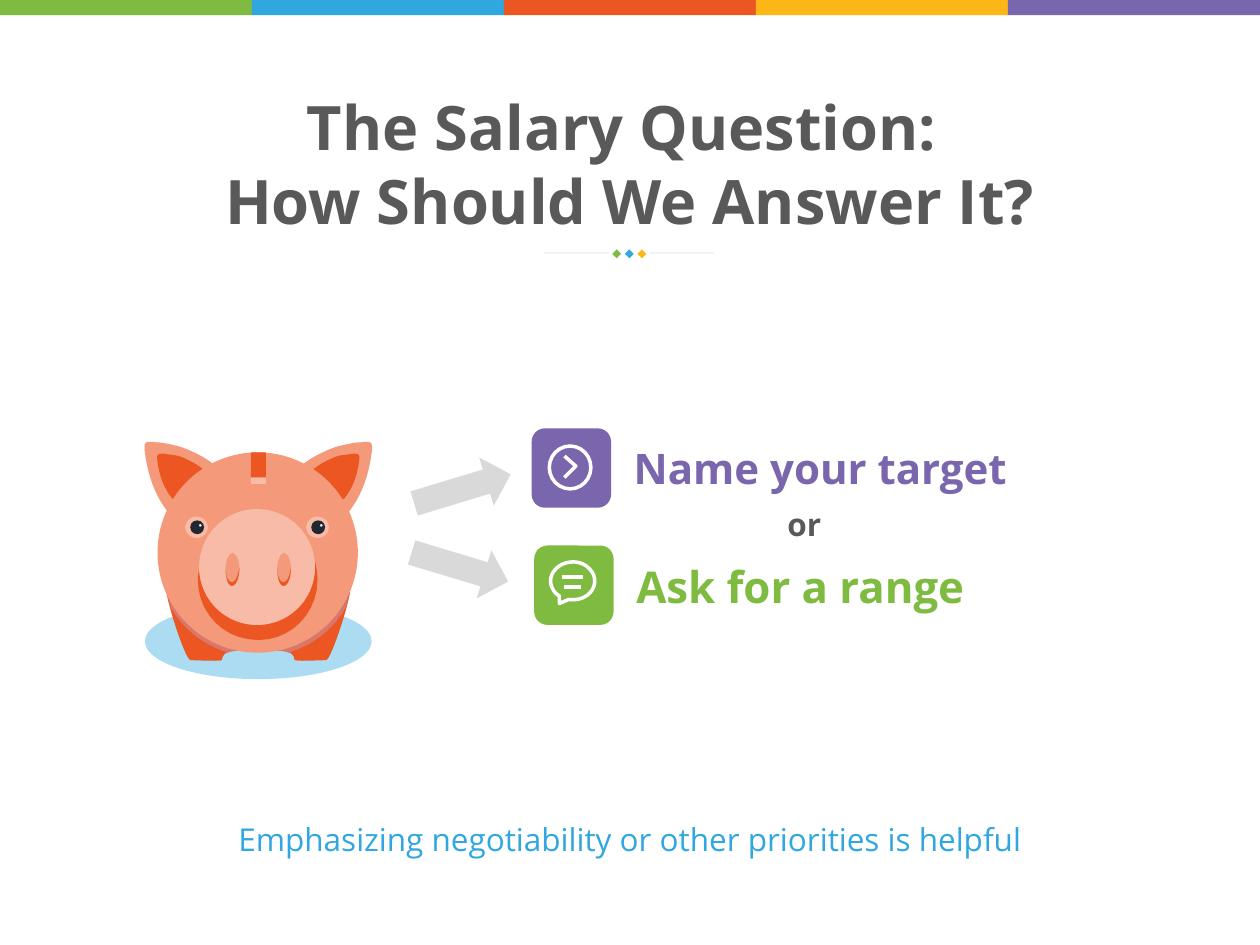
from lxml.etree import SubElement
from pptx import Presentation
from pptx.dml.color import RGBColor
from pptx.enum.shapes import MSO_CONNECTOR, MSO_SHAPE
from pptx.enum.text import MSO_AUTO_SIZE, PP_ALIGN
from pptx.oxml.ns import qn
from pptx.util import Inches, Pt

GREEN, BLUE, ORANGE, YELLOW, PURPLE = "7FBB41", "30A7DF", "EC5623", "FCB616", "7A66AD"
GRAY, PALE_GRAY, ARROW_GRAY, WHITE = "595959", "F2F2F2", "D9D9D9", "FFFFFF"
SKIN, LIGHT_SKIN, SHADE = "F49A7B", "F7BBA7", "DA776B"
PUDDLE, PUPIL, GLINT = "ACDCF2", "202731", "E5E5E5"


def color(value):
    return RGBColor.from_string(value)


def mirrored(points):
    return [(4.1 - x, y) for x, y in points]


def curve(points, steps=10):
    result = [points[0]]
    for index in range(0, len(points) - 1, 3):
        segment = points[index:index + 4]
        for step in range(1, steps + 1):
            t = step / steps
            weights = ((1 - t) ** 3, 3 * t * (1 - t) ** 2, 3 * t * t * (1 - t), t ** 3)
            result.append(tuple(sum(w * point[axis] for w, point in zip(weights, segment))
                                for axis in (0, 1)))
    return result


class SlideBuilder:
    font = "Open Sans"

    def __init__(self, slide):
        self.slide = slide
        self.shapes = slide.shapes

    def paint(self, shape, fill, line=None):
        shape.shadow.inherit = False
        if fill:
            shape.fill.solid()
            shape.fill.fore_color.rgb = color(fill)
        else:
            shape.fill.background()
        if line:
            shape.line.color.rgb = color(line)
            shape.line.width = Pt(2)
        else:
            shape.line.fill.background()

    def shape(self, kind, left, top, width, height, fill, line=None, rotation=0):
        shape = self.shapes.add_shape(kind, Inches(left), Inches(top), Inches(width), Inches(height))
        shape.rotation = rotation
        self.paint(shape, fill, line)

    def ellipse(self, left, top, width, height, fill, line=None):
        self.shape(MSO_SHAPE.OVAL, left, top, width, height, fill, line)

    def outline(self, points, fill, line=None, close=True):
        vertices = [(Inches(x), Inches(y)) for x, y in points]
        builder = self.shapes.build_freeform(*vertices[0])
        builder.add_line_segments(vertices[1:], close=close)
        self.paint(builder.convert_to_shape(), fill, line)

    def pair(self, points, fill):
        for side in (points, mirrored(points)):
            self.outline(curve(side), fill)

    def line(self, left, right, y, stroke, width):
        connector = self.shapes.add_connector(
            MSO_CONNECTOR.STRAIGHT, Inches(left), Inches(y), Inches(right), Inches(y))
        connector.line.color.rgb = color(stroke)
        connector.line.width = Pt(width)
        SubElement(connector.element.spPr, qn("a:effectLst"))

    def text(self, box, content, size, fill, bold=True, align=PP_ALIGN.LEFT,
             spacing=None, wrap=False, insets=(0.1, 0.05)):
        text_frame = self.shapes.add_textbox(*map(Inches, box)).text_frame
        text_frame.text = content
        text_frame.word_wrap = wrap
        text_frame.auto_size = MSO_AUTO_SIZE.SHAPE_TO_FIT_TEXT
        text_frame.margin_left = text_frame.margin_right = Inches(insets[0])
        text_frame.margin_top = text_frame.margin_bottom = Inches(insets[1])
        for paragraph in text_frame.paragraphs:
            paragraph.alignment = align
            if spacing:
                paragraph.line_spacing = spacing
            for run in paragraph.runs:
                run.font.name = self.font
                run.font.size = Pt(size)
                run.font.bold = bold
                run.font.color.rgb = color(fill)

    def piggy_bank(self):
        self.ellipse(1.15, 4.79, 1.8, 0.6, PUDDLE)
        leg = [(2.78, 4.68), (2.78, 4.77), (2.63, 5.23), (2.59, 5.24),
               (2.53, 5.24), (2.38, 5.25), (2.34, 5.24),
               (2.33, 5.22), (2.34, 5.22), (2.33, 5.21),
               (2.31, 5.16), (2.22, 5.17), (2.18, 5.16),
               (2.3, 5.09), (2.43, 5), (2.57, 4.89),
               (2.6, 4.87), (2.78, 4.68), (2.78, 4.68)]
        leg_shade = [(2.77, 4.7), (2.67, 4.94), (2.45, 5.12), (2.18, 5.16),
                     (2.22, 5.17), (2.25, 5.16), (2.29, 5.18),
                     (2.48, 5.12), (2.64, 5), (2.74, 4.83),
                     (2.76, 4.78), (2.77, 4.73), (2.77, 4.7)]
        outer_ear = [(2.77, 4.06), (2.88, 3.92), (2.93, 3.75), (2.95, 3.59),
                     (2.96, 3.51), (2.95, 3.5), (2.87, 3.51),
                     (2.81, 3.51), (2.74, 3.53), (2.69, 3.54),
                     (2.61, 3.56), (2.34, 3.68), (2.37, 3.76),
                     (2.39, 3.87), (2.65, 4.04), (2.75, 4.06)]
        inner_ear = [(2.73, 3.96), (2.8, 3.88), (2.84, 3.76), (2.85, 3.66),
                     (2.86, 3.61), (2.85, 3.6), (2.8, 3.6),
                     (2.76, 3.61), (2.72, 3.61), (2.68, 3.62),
                     (2.62, 3.64), (2.45, 3.72), (2.47, 3.77),
                     (2.48, 3.84), (2.66, 3.95), (2.72, 3.96)]
        for part, fill in ((leg, ORANGE), (leg_shade, SHADE), (outer_ear, SKIN), (inner_ear, ORANGE)):
            self.pair(part, fill)
        self.ellipse(1.25, 3.59, 1.59, 1.59, SKIN)
        snout_shade = [(2.5, 4.45), (2.5, 4.47), (2.5, 4.48), (2.5, 4.5),
                       (2.5, 4.76), (2.3, 4.96), (2.04, 4.96),
                       (1.79, 4.96), (1.58, 4.76), (1.58, 4.5),
                       (1.58, 4.53), (1.57, 4.56), (1.57, 4.6),
                       (1.57, 4.87), (1.78, 5.08), (2.05, 5.08),
                       (2.31, 5.08), (2.52, 4.87), (2.52, 4.6),
                       (2.52, 4.55), (2.51, 4.5), (2.5, 4.45)]
        self.outline(curve(snout_shade), ORANGE)
        self.ellipse(1.58, 4.04, 0.92, 0.92, LIGHT_SKIN)
        nostril_shade = [(0.11, 4.5), (0.1, 4.57), (0.08, 4.62), (0.05, 4.62),
                         (0.02, 4.62), (0, 4.57), (0, 4.5),
                         (0, 4.59), (0.02, 4.65), (0.05, 4.65),
                         (0.08, 4.65), (0.11, 4.59), (0.11, 4.5)]
        for left in (1.79, 2.2):
            self.ellipse(left, 4.39, 0.11, 0.26, SKIN)
            self.outline(curve([(left + x, y) for x, y in nostril_shade]), ORANGE)
        self.shape(MSO_SHAPE.RECTANGLE, 1.99, 3.59, 0.12, 0.2, ORANGE)
        self.shape(MSO_SHAPE.RECTANGLE, 1.99, 3.79, 0.12, 0.05, LIGHT_SKIN)
        for left in (1.47, 2.43):
            self.ellipse(left, 4.1, 0.18, 0.17, LIGHT_SKIN)
            self.ellipse(left + 0.04, 4.13, 0.11, 0.11, PUPIL)
            self.ellipse(left + 0.11, 4.16, 0.02, 0.02, GLINT)

    def option(self, left, top, label, size, fill, width):
        self.shape(MSO_SHAPE.ROUNDED_RECTANGLE, left, top, 0.63, 0.63, fill)
        self.text((left + 0.74, top - 0.01, width, 0.57), label, size, fill,
                  spacing=1.2, insets=(0.07, 0.04))

    def chevron_icon(self):
        self.ellipse(4.36, 3.54, 0.33, 0.34, None, WHITE)
        self.outline([(4.48, 3.62), (4.57, 3.7), (4.48, 3.79)], None, WHITE, close=False)

    def chat_icon(self):
        bubble = [(4.51, 4.76), (4.52, 4.76), (4.53, 4.76), (4.55, 4.76),
                  (4.64, 4.76), (4.72, 4.7), (4.72, 4.61),
                  (4.72, 4.53), (4.64, 4.46), (4.55, 4.46),
                  (4.45, 4.46), (4.37, 4.53), (4.37, 4.61),
                  (4.37, 4.66), (4.4, 4.71), (4.44, 4.73)]
        self.outline(curve(bubble) + [(4.44, 4.79)], None, WHITE)
        self.line(4.46, 4.63, 4.58, WHITE, 2)
        self.line(4.48, 4.61, 4.66, WHITE, 2)


def main():
    presentation = Presentation()
    presentation.slide_width, presentation.slide_height = Inches(10), Inches(7.5)
    builder = SlideBuilder(presentation.slides.add_slide(presentation.slide_layouts[6]))

    builder.piggy_bank()
    builder.text((1.66, 0.66, 6.68, 1.28), "The Salary Question: \nHow Should We Answer It?",
                 35, GRAY, align=PP_ALIGN.CENTER)
    for left in (4.32, 5.16):
        builder.line(left, left + 0.51, 2.01, PALE_GRAY, 1)
    for index, fill in enumerate((GREEN, BLUE, YELLOW)):
        builder.shape(MSO_SHAPE.DIAMOND, 4.86 + 0.1 * index, 1.98, 0.07, 0.07, fill)
    for index, fill in enumerate((GREEN, BLUE, ORANGE, YELLOW, PURPLE)):
        builder.shape(MSO_SHAPE.RECTANGLE, 2 * index, 0, 2, 0.12, fill)

    builder.option(4.22, 3.4, "Name your target", 24, PURPLE, 3.14)
    builder.chevron_icon()
    builder.option(4.24, 4.33, "Ask for a range", 25, GREEN, 2.78)
    builder.chat_icon()
    for left, top, rotation in ((3.47, 3.48, 253.2), (3.45, 4.1, 286.8)):
        builder.shape(MSO_SHAPE.DOWN_ARROW, left, top, 0.4, 0.8, ARROW_GRAY, rotation=rotation)
    builder.text((6.15, 3.96, 0.47, 0.4), "or", 18, GRAY)
    builder.text((1.19, 6.46, 7.62, 0.4), "Emphasizing negotiability or other priorities is helpful",
                 18, BLUE, bold=False, align=PP_ALIGN.CENTER, wrap=True)
    presentation.save("out.pptx")


if __name__ == "__main__":
    main()
